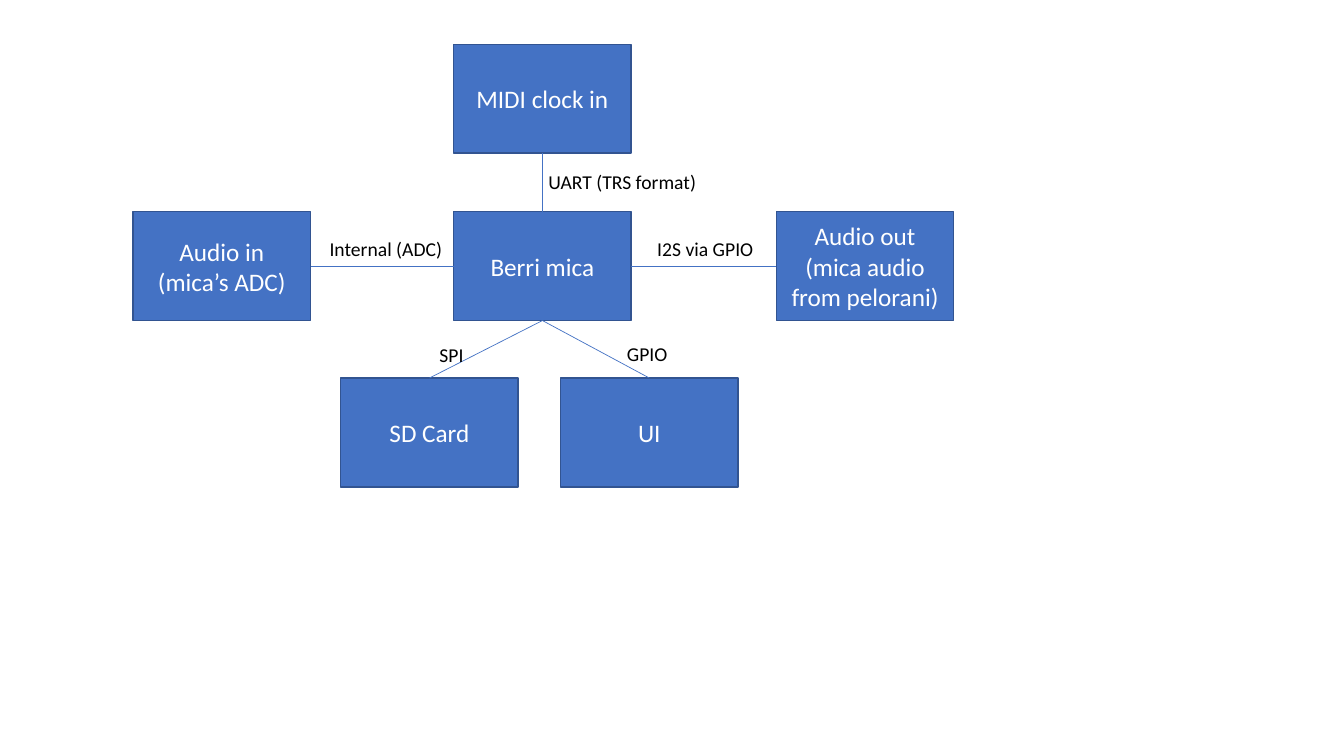
from lxml import etree
from pptx import Presentation
from pptx.dml.color import RGBColor
from pptx.enum import shapes, text
from pptx.oxml import ns
from pptx.util import Inches, Pt

COLORS = {"fill": "4472C4", "border": "325491", "white": "FFFFFF", "black": "000000"}
BOX_W, BOX_H = 1.76, 1.08
TOP, LEFT, BOTTOM, RIGHT = range(4)

BLOCKS = {
    "board": (3.18, 1.66, "Berri mica"),
    "audio_out": (6.38, 1.66, "Audio out (mica audio from pelorani)"),
    "audio_in": (0, 1.66, "Audio in\n(mica’s ADC)"),
    "midi": (3.18, 0, "MIDI clock in"),
    "ui": (4.24, 3.31, "UI"),
    "sd_card": (2.06, 3.31, "SD Card"),
}
LINKS = [
    ("midi", BOTTOM, "board", TOP),
    ("audio_in", RIGHT, "board", LEFT),
    ("board", RIGHT, "audio_out", LEFT),
    ("sd_card", TOP, "board", BOTTOM),
    ("ui", TOP, "board", BOTTOM),
]
LABELS = [
    (2.94, 2.91, 0.44, "SPI"),
    (4.8, 2.9, 0.61, "GPIO"),
    (4.02, 1.2, 1.68, "UART (TRS format)"),
    (5.1, 1.86, 1.16, "I2S via GPIO"),
    (1.85, 1.86, 1.33, "Internal (ADC)"),
]


def rgb(name):
    return RGBColor.from_string(COLORS[name])


def write(tf, content, size, color, align):
    tf.text = content
    for p in tf.paragraphs:
        p.alignment = align
        for r in p.runs:
            r.font.name = "Calibri"
            r.font.size = Pt(size)
            r.font.color.rgb = rgb(color)


def add_block(s, x, y, content):
    sp = s.shapes.add_shape(shapes.MSO_SHAPE.RECTANGLE, Inches(x), Inches(y),
                            Inches(BOX_W), Inches(BOX_H))
    sp.shadow.inherit = False
    sp.fill.solid()
    sp.fill.fore_color.rgb = rgb("fill")
    sp.line.color.rgb = rgb("border")
    sp.line.width = Pt(1)
    sp.text_frame.vertical_anchor = text.MSO_ANCHOR.MIDDLE
    write(sp.text_frame, content, 18, "white", text.PP_ALIGN.CENTER)
    return sp


def add_link(s, start, start_side, end, end_side):
    line = s.shapes.add_connector(shapes.MSO_CONNECTOR.STRAIGHT, 0, 0, 0, 0)
    line.begin_connect(start, start_side)
    line.end_connect(end, end_side)
    line.line.color.rgb = rgb("fill")
    line.line.width = Pt(0.5)
    etree.SubElement(line._element.spPr, ns.qn("a:effectLst"))


def add_label(s, x, y, w, content):
    tf = s.shapes.add_textbox(Inches(x), Inches(y), Inches(w), Inches(0.34)).text_frame
    tf.word_wrap = False
    tf.auto_size = text.MSO_AUTO_SIZE.SHAPE_TO_FIT_TEXT
    write(tf, content, 14, "black", text.PP_ALIGN.LEFT)


def add_diagram(s, left, top):
    blocks = {name: add_block(s, left + x, top + y, content)
              for name, (x, y, content) in BLOCKS.items()}
    for start, start_side, end, end_side in LINKS:
        add_link(s, blocks[start], start_side, blocks[end], end_side)
    for x, y, w, content in LABELS:
        add_label(s, left + x, top + y, w, content)


def main():
    prs = Presentation()
    prs.slide_width, prs.slide_height = Inches(13.33), Inches(7.5)
    s = prs.slides.add_slide(prs.slide_layouts[6])
    add_diagram(s, 1.32, 0.44)
    prs.save("out.pptx")


if __name__ == "__main__":
    main()
